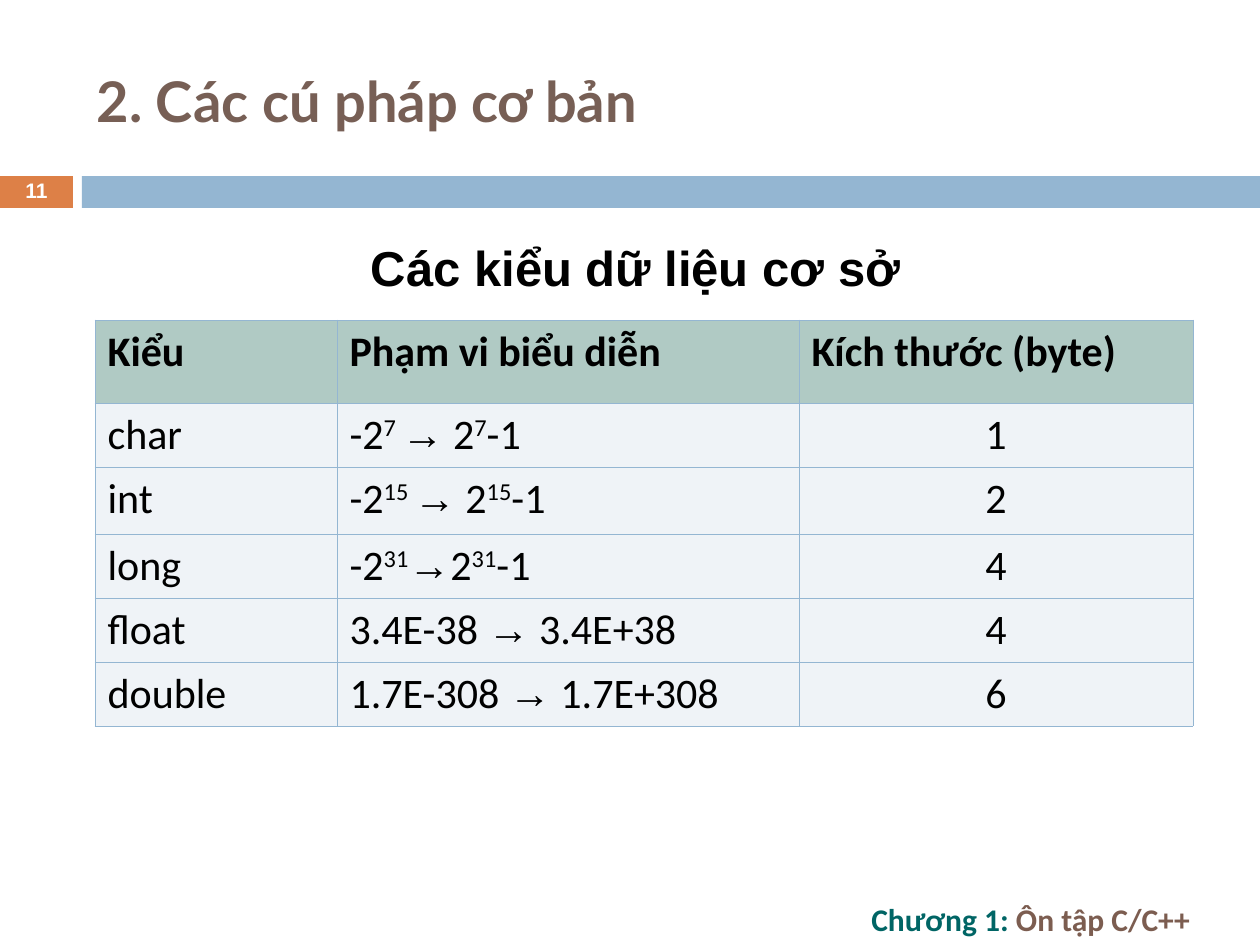
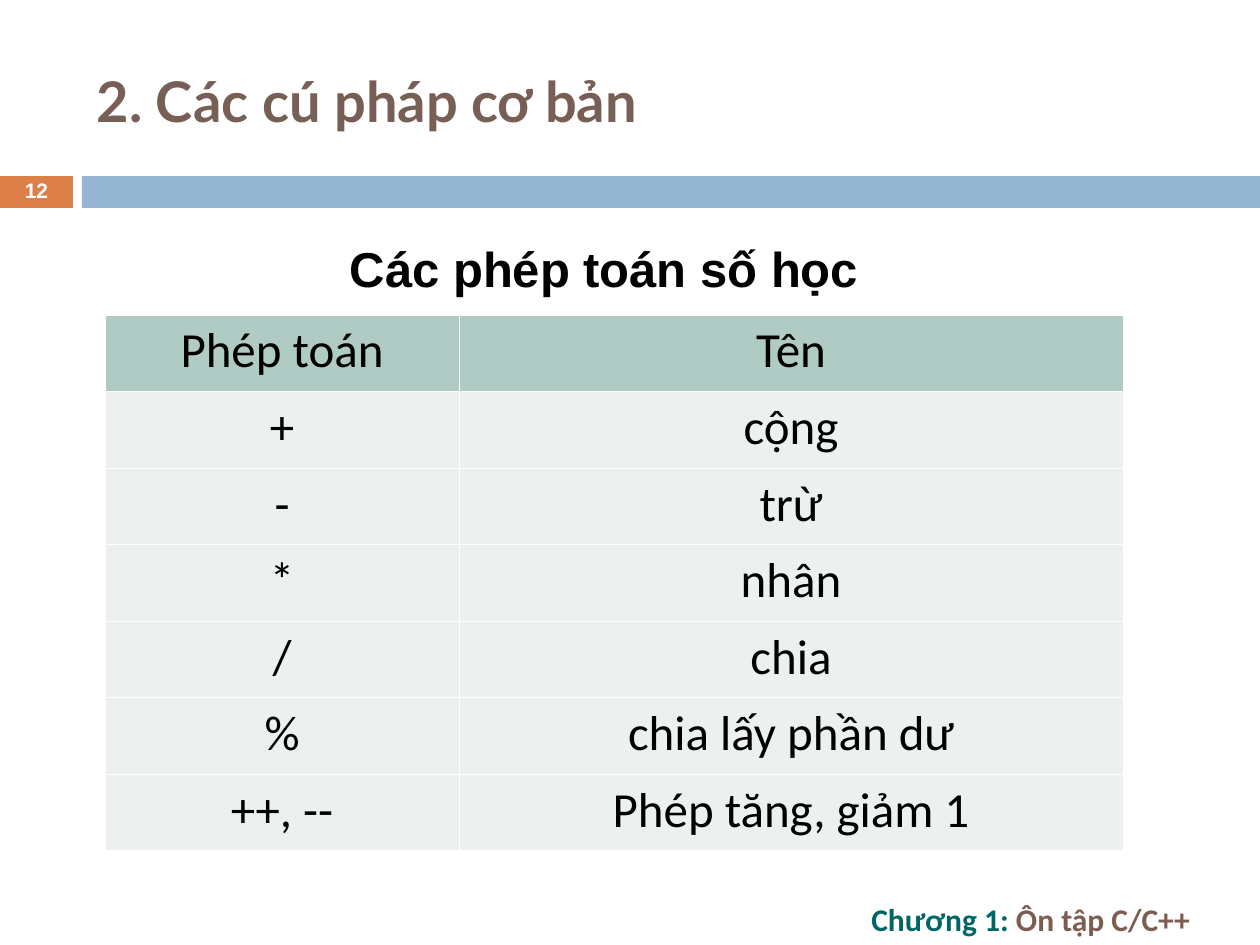
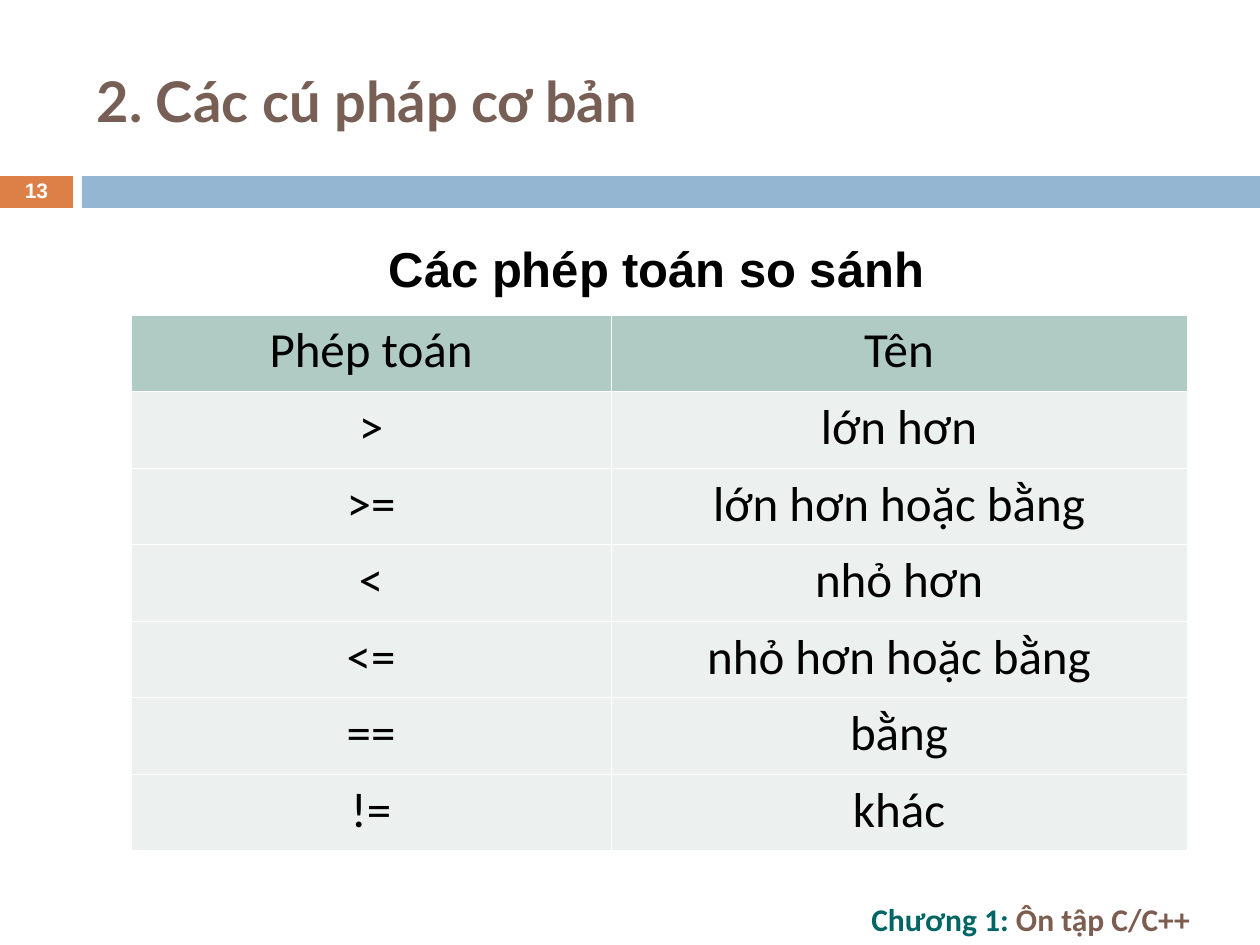
from itertools import groupby

from lxml import etree
from pptx import Presentation
from pptx import util as u
from pptx.dml.color import RGBColor
from pptx.enum import shapes, text
from pptx.oxml.ns import qn

ORANGE, BLUE, WHITE, BLACK = "DD8047", "94B6D2", "FFFFFF", "000000"
BROWN, TEAL, COCOA = "775F55", "006565", "7C5D50"
GREEN, PALE, MIST = "B0CAC4", "EFF3F7", "ECF1F0"
LEFT, MID = text.PP_ALIGN.LEFT, text.PP_ALIGN.CENTER
CENTER = text.MSO_ANCHOR.MIDDLE

TITLE = {"name": "Lato", "size": 32, "bold": True, "color": BROWN}
HEAD = {"name": "Arial", "size": 28, "bold": True, "color": BLACK}
PAGE = {"name": "Arial", "size": 12, "bold": True, "color": WHITE}
FOOT = {"name": "Calibri", "size": 18, "bold": True, "color": TEAL}
CELL = {"name": "Calibri", "size": 28, "bold": False, "color": BLACK}


def px(num):
    return u.Emu(round(num * 914400 / 126))


def paint(obj, code):
    obj.rgb = RGBColor.from_string(code)


def style(font, form):
    for key, val in form.items():
        if key == "color":
            paint(font.color, val)
        else:
            setattr(font, key, u.Pt(val) if key == "size" else val)


def write(para, words, form):
    for odd, part in enumerate(words.split("^")):
        for arrow, chars in groupby(part, lambda char: char == "→"):
            run = para.add_run()
            run.text = "".join(chars)
            style(run.font, {**form, "name": "Arial"} if arrow else form)
            if odd % 2:
                run.font._element.set("baseline", "30000")


def label(slide, box, parts, align=LEFT, **opts):
    frame = slide.shapes.add_textbox(*map(px, box)).text_frame
    frame.word_wrap = True
    for key, val in opts.items():
        setattr(frame, key, val)
    para = frame.paragraphs[0]
    para.alignment = align
    for words, form in parts:
        write(para, words, form)
    return para


def block(slide, box, code):
    shape = slide.shapes.add_shape(shapes.MSO_SHAPE.RECTANGLE, *map(px, box))
    shape.shadow.inherit = False
    shape.fill.solid()
    paint(shape.fill.fore_color, code)
    shape.line.fill.background()


def band(slide, box, page):
    left, top, wide, high = box
    tab, start = 73, 82
    block(slide, (left, top, tab, high), ORANGE)
    block(slide, (left + start, top, wide - start, high), BLUE)
    para = label(slide, (left, top - 1, tab, high + 2), [(str(page), PAGE)],
                 MID, vertical_anchor=CENTER)
    para.line_spacing = 0.8


def title(slide, box, words):
    shape = slide.shapes.title
    shape.left, shape.top, shape.width, shape.height = map(px, box)
    frame = shape.text_frame
    frame.auto_size = text.MSO_AUTO_SIZE.NONE
    frame.vertical_anchor = CENTER
    para = frame.paragraphs[0]
    para.alignment = LEFT
    write(para, words, TITLE)


def edge(cell, code):
    props = cell._tc.get_or_add_tcPr()
    for spot, side in enumerate(("lnL", "lnR", "lnT", "lnB")):
        line = etree.Element(qn("a:" + side), w=str(u.Pt(0.45)))
        fill = etree.SubElement(line, qn("a:solidFill"))
        etree.SubElement(fill, qn("a:srgbClr"), val=code)
        props.insert(spot, line)


def grid(slide, box, cols, rows, data, look):
    table = slide.shapes.add_table(len(data), len(cols), *map(px, box)).table
    table.first_row = table.horz_banding = False
    for col, wide in zip(table.columns, cols):
        col.width = px(box[2] * wide / sum(cols))
    for row, high in zip(table.rows, rows):
        row.height = px(box[3] * high / sum(rows))
    for i, line in enumerate(data):
        for j, words in enumerate(line):
            cell = table.cell(i, j)
            cell.fill.solid()
            paint(cell.fill.fore_color, look["body"] if i else GREEN)
            edge(cell, look["edge"])
            para = cell.text_frame.paragraphs[0]
            para.alignment = look["align"](i, j)
            bold = look["bold"] and i == 0
            write(para, words, {**CELL, "size": look["size"], "bold": bold})


def page(deck, num, head, spot, *table):
    slide = deck.slides.add_slide(deck.slide_layouts[5])
    title(slide, (84, 32, 1124, 136), "2. Các cú pháp cơ bản")
    band(slide, (0, 176, 1260, 32), num)
    grid(slide, *table)
    label(slide, spot, [(head, HEAD)], MID,
          auto_size=text.MSO_AUTO_SIZE.SHAPE_TO_FIT_TEXT)
    label(slide, (859, 892, 401, 53),
          [("Chương 1: ", FOOT), ("Ôn tập C/C++", {**FOOT, "color": COCOA})],
          vertical_anchor=CENTER)


TYPES = [
    ("Kiểu", "Phạm vi biểu diễn", "Kích thước (byte)"),
    ("char", "-2^7 ^→ 2^7^-1", "1"),
    ("int", "-2^15 ^→ 2^15^-1", "2"),
    ("long", "-2^31^→2^31^-1", "4"),
    ("float", "3.4E-38 → 3.4E+38", "4"),
    ("double", "1.7E-308 → 1.7E+308", "6"),
]
MATH = [
    ("Phép toán", "Tên"), ("+", "cộng"), ("-", "trừ"), ("*", "nhân"),
    ("/", "chia"), ("%", "chia lấy phần dư"), ("++, --", "Phép tăng, giảm 1"),
]
TESTS = [
    ("Phép toán", "Tên"), (">", "lớn hơn"), (">=", "lớn hơn hoặc bằng"),
    ("<", "nhỏ hơn"), ("<=", "nhỏ hơn hoặc bằng"), ("==", "bằng"),
    ("!=", "khác"),
]
LINED = {"body": PALE, "edge": BLUE, "size": 24, "bold": True,
         "align": lambda i, j: MID if i and j == 2 else LEFT}
PLAIN = {"body": MIST, "edge": WHITE, "size": 28, "bold": False,
         "align": lambda i, j: MID}


def main():
    deck = Presentation()
    deck.slide_width, deck.slide_height = px(1260), px(945)
    page(deck, 11, "Các kiểu dữ liệu cơ sở", (84, 231, 1103, 72),
         (95, 320, 1098, 406), (242, 462, 394), (83, 64, 67, 64, 64, 64),
         TYPES, LINED)
    page(deck, 12, "Các phép toán số học", (95, 232, 1018, 72),
         (105, 315, 1018, 536), (354, 664), [1] * 7, MATH, PLAIN)
    page(deck, 13, "Các phép toán so sánh", (126, 232, 1061, 72),
         (131, 315, 1056, 536), (480, 576), [1] * 7, TESTS, PLAIN)
    deck.save("out.pptx")


if __name__ == "__main__":
    main()
